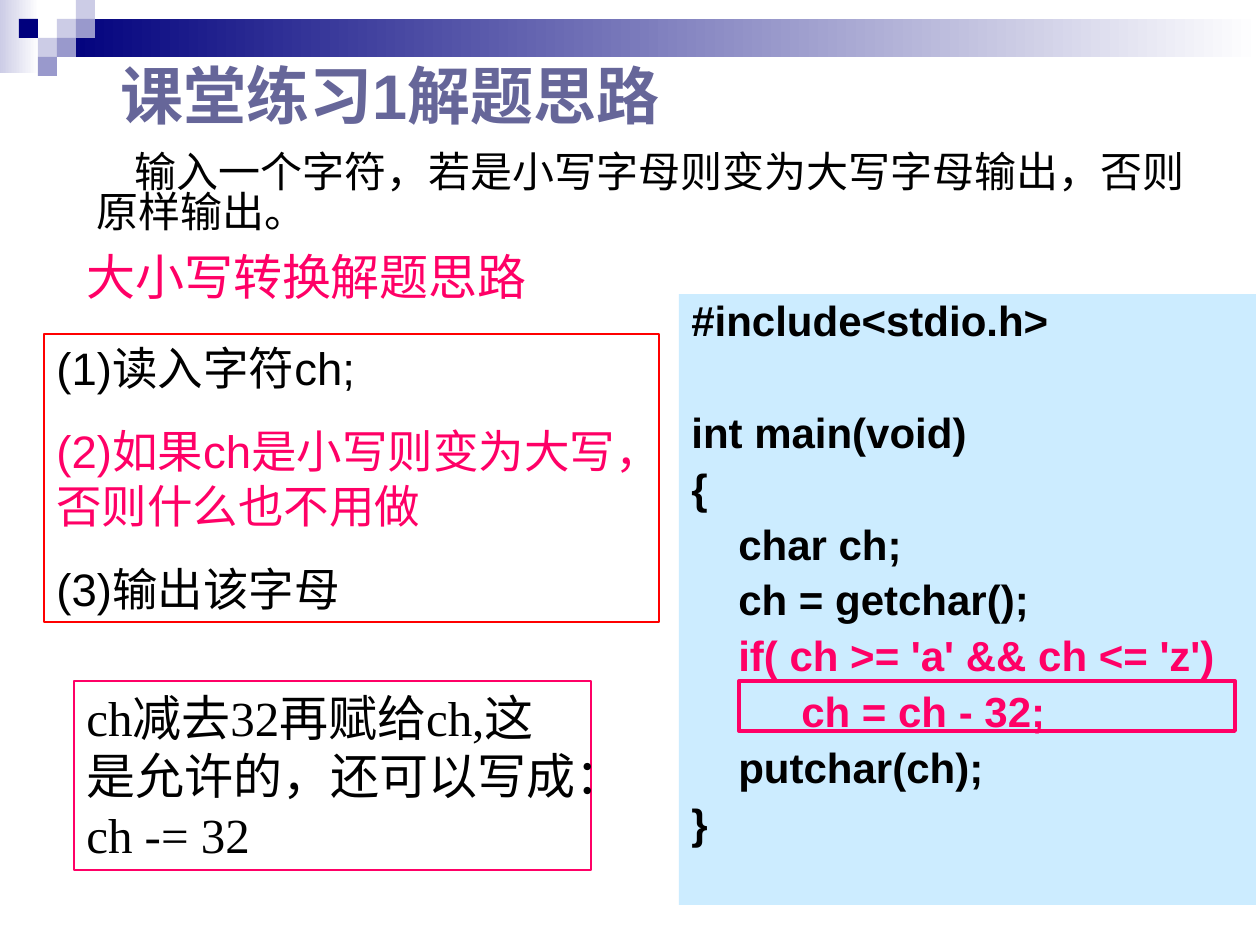
from dataclasses import dataclass

from pptx import Presentation
from pptx.dml.color import RGBColor
from pptx.enum.shapes import MSO_SHAPE as Shape
from pptx.enum.text import MSO_ANCHOR as Anchor, PP_ALIGN as Align
from pptx.oxml.ns import qn
from pptx.slide import Slide
from pptx.util import Pt
from lxml.etree import SubElement

PX = 914400 / 126
NAVY, MID, LIGHT, WHITE = "00007D", "9999CC", "CCCCE6", "FFFFFF"
BLACK, PINK, RED = "000000", "FF0066", "FF0000"


def px(length):
    return round(length * PX)


def rgb(value):
    return RGBColor.from_string(value)


@dataclass
class Painter:
    """Holds the text style and the page that elements are added to."""

    page: Slide
    font: str = "Arial"

    def rect(self, bounds, fill=None, line=None, width=0.75):
        box = self.page.shapes.add_shape(Shape.RECTANGLE, *map(px, bounds))
        box.shadow.inherit = False
        if fill:
            box.fill.solid()
            box.fill.fore_color.rgb = rgb(fill)
        else:
            box.fill.background()
        if line:
            box.line.color.rgb = rgb(line)
            box.line.width = Pt(width)
        else:
            box.line.fill.background()
        return box

    def fade(self, bounds, color):
        box = self.rect(bounds)
        box.fill.gradient()
        box.fill.gradient_angle = 0
        for stop, shade in zip(box.fill.gradient_stops, (color, WHITE)):
            stop.color.rgb = rgb(shade)

    def set_text(self, box, lines, size, font=None, bold=False, anchor=Anchor.TOP,
                 spacing=None, before=0):
        frame = box.text_frame
        frame.word_wrap = True
        frame.vertical_anchor = anchor
        frame.text = "\n".join(text for text, _ in lines)
        for index, (para, (_, color)) in enumerate(zip(frame.paragraphs, lines)):
            para.alignment = Align.LEFT
            if spacing:
                para.line_spacing = spacing
            if index and before:
                para.space_before = Pt(before)
            for span in para.runs:
                span.font.name = font or self.font
                span.font.size = Pt(size)
                span.font.bold = bold
                span.font.color.rgb = rgb(color)
        return frame.paragraphs

    def title(self, bounds, text, color):
        box = self.page.shapes.title
        box.left, box.top, box.width, box.height = map(px, bounds)
        self.set_text(box, [(text, color)], 36, bold=True, anchor=Anchor.MIDDLE, spacing=0.8)

    def label(self, bounds, text, size, color, **style):
        box = self.page.shapes.add_textbox(*map(px, bounds))
        return self.set_text(box, [(text, color)], size, anchor=Anchor.MIDDLE, **style)

    def indent(self, para, margin, first):
        props = para._p.get_or_add_pPr()
        props.set("marL", str(px(margin)))
        props.set("indent", str(px(first)))
        return props

    def code(self, bounds, lines, fill):
        paras = self.set_text(self.rect(bounds, fill), lines, 24, bold=True,
                              spacing=0.9, before=6)
        for para in paras:
            tabs = SubElement(self.indent(para, 47, -47), qn("a:tabLst"))
            for inch in range(8):
                SubElement(tabs, qn("a:tab"), pos=str(px(126 * inch)), algn="l")
        return paras


def main():
    deck = Presentation()
    deck.slide_width, deck.slide_height = px(1260), px(945)
    painter = Painter(deck.slides.add_slide(deck.slide_layouts[5]))

    painter.fade((0, 0, 39, 73), LIGHT)
    painter.fade((57, 19, 1203, 38), NAVY)
    squares = [(3, 1, LIGHT), (4, 0, LIGHT), (4, 1, MID), (2, 2, LIGHT),
               (1, 1, NAVY), (3, 2, MID), (2, 3, MID)]
    for column, row, color in squares:
        painter.rect((19 * column, 19 * row, 19, 19), color)

    painter.title((108, 68, 1152, 67), "课堂练习1解题思路", "666699")

    code = painter.code((679, 294, 577, 611), [
        ("#include<stdio.h>", BLACK),
        ("int main(void)", BLACK),
        ("{", BLACK),
        ("\tchar ch;", BLACK),
        ("\tch = getchar();", BLACK),
        ("\tif( ch >= 'a' && ch <= 'z')", PINK),
        ("\t\tch = ch - 32;", PINK),
        ("\tputchar(ch);", BLACK),
        ("}", BLACK),
    ], "CCECFF")
    code[1].space_before = Pt(38)

    painter.label((74, 244, 507, 64), "大小写转换解题思路", 28, PINK)
    painter.set_text(painter.rect((44, 334, 615, 288), line=RED), [
        ("(1)读入字符ch;", BLACK),
        ("(2)如果ch是小写则变为大写，否则什么也不用做", PINK),
        ("(3)输出该字母", BLACK),
    ], 26, before=16.2)
    painter.set_text(painter.rect((74, 681, 517, 189), line=PINK), [
        ("ch减去32再赋给ch,这是允许的，还可以写成：ch -= 32", BLACK),
    ], 28, font="Times New Roman")
    painter.rect((739, 681, 496, 50), line=PINK, width=2.25)

    task = painter.label((84, 162, 1152, 67),
                         "输入一个字符，若是小写字母则变为大写字母输出，否则原样输出。",
                         24, BLACK, font="Times New Roman", spacing=0.8)
    painter.indent(task[0], 0, 38)

    deck.save("out.pptx")


if __name__ == "__main__":
    main()
